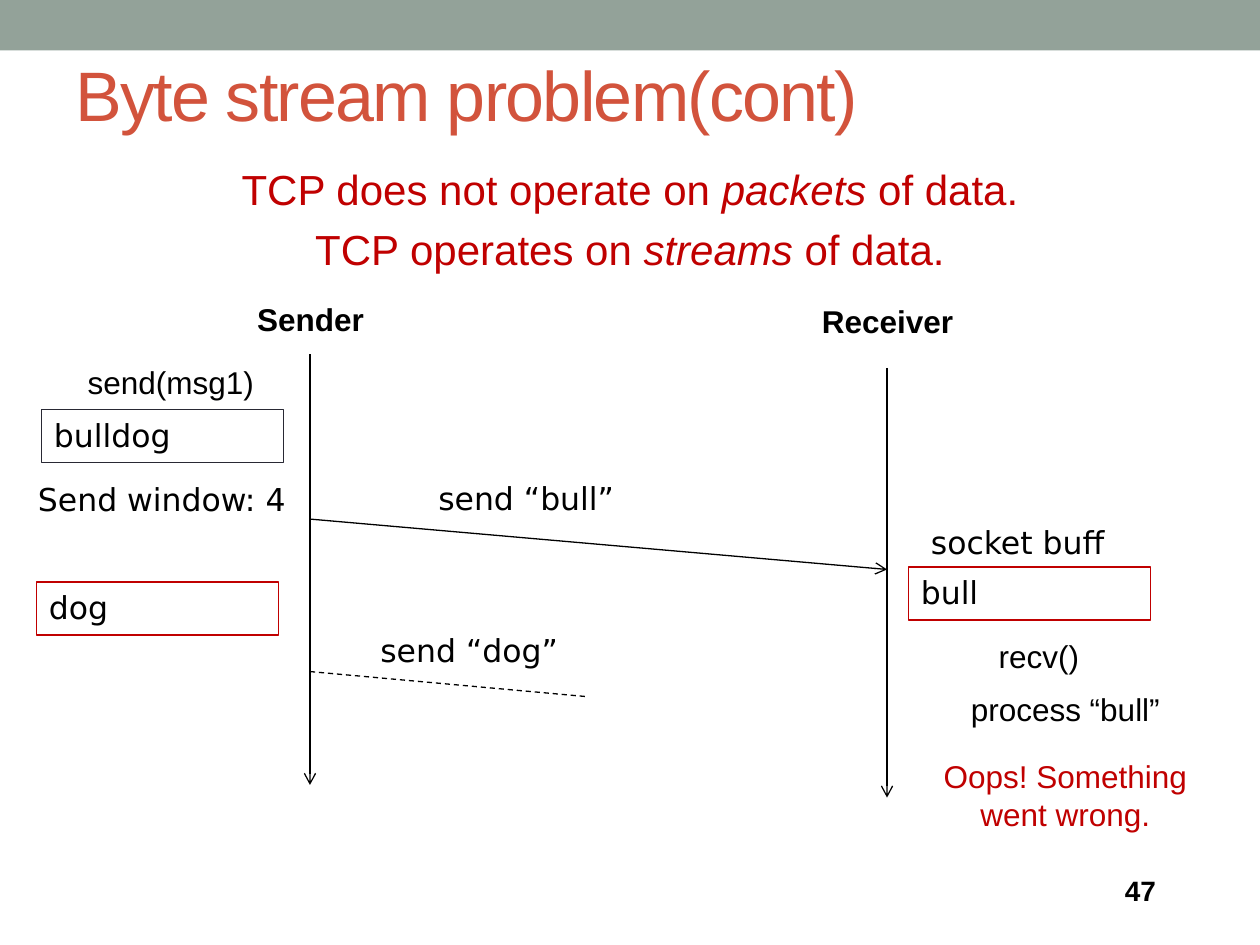
from dataclasses import dataclass

from lxml.etree import SubElement
from pptx import Presentation
from pptx.dml.color import RGBColor
from pptx.enum.dml import MSO_LINE_DASH_STYLE as Dash
from pptx.enum.shapes import MSO_CONNECTOR as Connector, MSO_SHAPE as Preset
from pptx.enum.text import MSO_ANCHOR as Anchor, PP_ALIGN as Align
from pptx.oxml.ns import qn
from pptx.util import Inches, Pt


@dataclass(frozen=True)
class Theme:
    band: RGBColor = RGBColor(0x93, 0xA2, 0x99)
    title: RGBColor = RGBColor(0xD2, 0x53, 0x3C)
    red: RGBColor = RGBColor(0xC0, 0x00, 0x00)
    dark: RGBColor = RGBColor(0x29, 0x29, 0x34)
    black: RGBColor = RGBColor(0x00, 0x00, 0x00)
    sans: str = "Arial"
    data_font: str = "DejaVu Sans"
    title_size: int = 40
    body_size: int = 24
    label_size: int = 18
    number_size: int = 16
    line_width: float = 0.75


THEME = Theme()


@dataclass(frozen=True)
class Label:
    text: str
    left: float
    top: float
    width: float
    height: float = 0.4
    font: str = THEME.sans
    size: int = THEME.label_size
    color: RGBColor = THEME.black
    bold: bool = False
    align: Align = Align.CENTER
    anchor: Anchor = Anchor.TOP
    wrap: bool = True


@dataclass(frozen=True)
class Buffer:
    text: str
    left: float
    top: float
    border: RGBColor = THEME.red
    width: float = 1.92
    height: float = 0.42


@dataclass(frozen=True)
class Line:
    start: tuple[float, float]
    end: tuple[float, float]
    arrow: bool = True
    dashed: bool = False


def style_span(span, font: str, size: int, color: RGBColor, bold: bool = False) -> None:
    span.font.name = font
    span.font.size = Pt(size)
    span.font.color.rgb = color
    span.font.bold = bold


def draw_label(page, label: Label):
    box = page.shapes.add_textbox(
        Inches(label.left), Inches(label.top), Inches(label.width), Inches(label.height))
    frame = box.text_frame
    frame.text = label.text
    frame.word_wrap = label.wrap
    frame.vertical_anchor = label.anchor
    for para in frame.paragraphs:
        para.alignment = label.align
        for span in para.runs:
            style_span(span, label.font, label.size, label.color, label.bold)
    return box


def draw_rectangle(page, left: float, top: float, width: float, height: float):
    box = page.shapes.add_shape(
        Preset.RECTANGLE, Inches(left), Inches(top), Inches(width), Inches(height))
    box.shadow.inherit = False
    return box


def draw_buffer(page, buffer: Buffer) -> None:
    box = draw_rectangle(page, buffer.left, buffer.top, buffer.width, buffer.height)
    box.fill.background()
    box.line.color.rgb = buffer.border
    box.line.width = Pt(THEME.line_width)
    frame = box.text_frame
    frame.text = buffer.text
    frame.word_wrap = True
    frame.vertical_anchor = Anchor.TOP
    para = frame.paragraphs[0]
    para.alignment = Align.LEFT
    style_span(para.runs[0], THEME.data_font, THEME.label_size, THEME.black)


def draw_line(page, line: Line) -> None:
    connector = page.shapes.add_connector(
        Connector.STRAIGHT, *(Inches(value) for value in line.start + line.end))
    connector.line.color.rgb = THEME.black
    connector.line.width = Pt(THEME.line_width)
    if line.dashed:
        connector.line.dash_style = Dash.DASH
    properties = connector._element.spPr
    if line.arrow:
        SubElement(properties.find(qn("a:ln")), qn("a:tailEnd"), type="arrow")
    SubElement(properties, qn("a:effectLst"))


def draw_statements(page, statements: list[tuple[str, str, str]]) -> None:
    """Centred lines whose middle part is italic."""
    box = page.shapes.add_textbox(Inches(0.5), Inches(1.25), Inches(9), Inches(1))
    frame = box.text_frame
    frame.word_wrap = True
    for index, parts in enumerate(statements):
        para = frame.add_paragraph() if index else frame.paragraphs[0]
        para.alignment = Align.CENTER
        para.space_before = Pt(5.5)
        for position, text in enumerate(parts):
            span = para.add_run()
            span.text = text
            style_span(span, THEME.sans, THEME.body_size, THEME.red)
            span.font.italic = position == 1


SENDER_X, RECEIVER_X = 2.46, 7.04

STATEMENTS = [
    ("TCP does not operate on ", "packets", " of data."),
    ("TCP operates on ", "streams", " of data."),
]

LINES = [
    Line((SENDER_X, 2.81), (SENDER_X, 6.23)),
    Line((RECEIVER_X, 2.92), (RECEIVER_X, 6.33)),
    Line((SENDER_X, 4.12), (RECEIVER_X, 4.52)),
    Line((SENDER_X, 5.33), (4.67, 5.53), arrow=False, dashed=True),
]

BUFFERS = [
    Buffer("bulldog", 0.33, 3.25, border=THEME.dark),
    Buffer("dog", 0.29, 4.62),
    Buffer("bull", 7.21, 4.5),
]

LABELS = [
    Label("Sender", 1.88, 2.33, 1.17, bold=True),
    Label("Receiver", 6.38, 2.35, 1.33, bold=True),
    Label("send(msg1)", 0.5, 2.83, 1.71),
    Label("Send window: 4", 0.16, 3.76, 2.25, font=THEME.data_font, wrap=False),
    Label("send “bull”", 3.38, 3.75, 2.75, font=THEME.data_font, align=Align.LEFT),
    Label("send “dog”", 2.92, 4.96, 2.75, font=THEME.data_font, align=Align.LEFT),
    Label("socket buff", 7.29, 4.1, 1.83, font=THEME.data_font, align=Align.LEFT),
    Label("recv()", 7.12, 5.01, 2.25),
    Label("process “bull”", 7.33, 5.43, 2.25),
    Label("Oops! Something went wrong.", 7.33, 5.96, 2.25, 0.71, color=THEME.red),
    Label("47", 8.83, 6.89, 0.83, 0.36, size=THEME.number_size, bold=True,
          align=Align.LEFT, anchor=Anchor.MIDDLE),
]


def main() -> None:
    deck = Presentation()
    deck.slide_width, deck.slide_height = Inches(10), Inches(7.5)
    page = deck.slides.add_slide(deck.slide_layouts[6])

    # Top band and heading
    band = draw_rectangle(page, 0, 0, 10, 0.4)
    band.fill.solid()
    band.fill.fore_color.rgb = THEME.band
    band.line.fill.background()
    title = draw_label(page, Label(
        "Byte stream problem(cont)", 0.5, 0.33, 9, 0.83, size=THEME.title_size,
        color=THEME.title, align=Align.LEFT, anchor=Anchor.MIDDLE))
    title_span = title.text_frame.paragraphs[0].runs[0]
    title_span.font._element.set("spc", "-100")  # tighten letters by one point
    draw_statements(page, STATEMENTS)

    # Sequence diagram
    for line in LINES:
        draw_line(page, line)
    for buffer in BUFFERS:
        draw_buffer(page, buffer)
    for label in LABELS:
        draw_label(page, label)

    deck.save("out.pptx")


if __name__ == "__main__":
    main()
